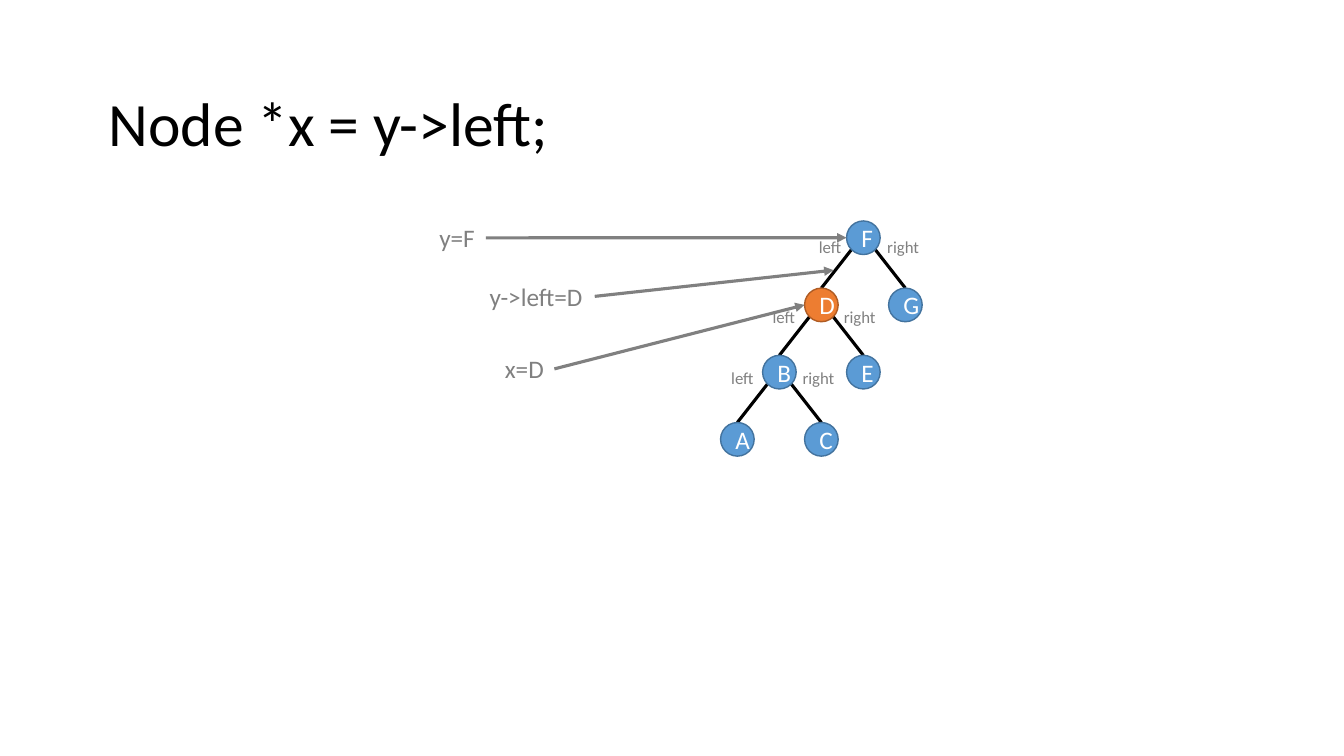
from math import sqrt

from pptx import Presentation
from pptx.dml.color import RGBColor
from pptx.enum.shapes import MSO_CONNECTOR, MSO_SHAPE
from pptx.enum.text import MSO_ANCHOR, MSO_AUTO_SIZE, PP_ALIGN
from pptx.oxml.ns import qn
from pptx.util import Pt
from lxml import etree

STRAIGHT = MSO_CONNECTOR.STRAIGHT
OVAL = MSO_SHAPE.OVAL
MIDDLE = MSO_ANCHOR.MIDDLE
FIT_SHAPE = MSO_AUTO_SIZE.SHAPE_TO_FIT_TEXT
LEFT, CENTER = PP_ALIGN.LEFT, PP_ALIGN.CENTER
BLACK, GRAY, WHITE = "000000", "808080", "FFFFFF"


def write(shape, text, size, color, align=LEFT):
    para = shape.text_frame.paragraphs[0]
    para.alignment = align
    span = para.add_run()
    span.text = text
    span.font.name = "Calibri"
    span.font.size = Pt(size)
    span.font.color.rgb = RGBColor.from_string(color)
    return para


def draw_line(start, end, color):
    line = page.shapes.add_connector(STRAIGHT, *map(Pt, start + end))
    line.line.color.rgb = RGBColor.from_string(color)
    line.line.width = Pt(2.25)
    etree.SubElement(line._element.spPr, qn("a:effectLst"))
    return line


deck = Presentation()
deck.slide_width, deck.slide_height = Pt(960), Pt(540)
page = deck.slides.add_slide(deck.slide_layouts[6])

# Title
title = page.shapes.add_textbox(Pt(60.5), Pt(38.2), Pt(828), Pt(104.4))
title.text_frame.word_wrap = True
title.text_frame.vertical_anchor = MIDDLE
write(title, " Node *x = y->left;", 44, BLACK).line_spacing = 0.9

# Tree grid: column and row of each node, centers on even steps
DIAMETER, STEP_X, STEP_Y = 24, 30, 48
ROOT_X, ROOT_Y = 616.7, 169.8
places = {"F": (0, 0), "D": (-1, 1), "G": (1, 1), "B": (-2, 2),
          "E": (0, 2), "A": (-3, 3), "C": (-1, 3)}
centers = {name: (ROOT_X + column * STEP_X, ROOT_Y + row * STEP_Y)
           for name, (column, row) in places.items()}
children = {"F": "DG", "D": "BE", "B": "AC"}

# Edges run from the parent's lower diagonal to the top of the child
radius = DIAMETER / 2
diagonal = radius / sqrt(2)
for parent, pair in children.items():
    x, y = centers[parent]
    for child, side in zip(pair, (-1, 1)):
        child_x, child_y = centers[child]
        draw_line((x + side * diagonal, y + diagonal),
                  (child_x, child_y - radius), BLACK)

# Nodes
for name, (x, y) in centers.items():
    fill, outline = ("ED7D31", "AF5C24") if name == "D" else ("5B9BD5", "43739E")
    node = page.shapes.add_shape(OVAL, Pt(x - radius), Pt(y - radius),
                                 Pt(DIAMETER), Pt(DIAMETER))
    node.shadow.inherit = False
    node.fill.solid()
    node.fill.fore_color.rgb = RGBColor.from_string(fill)
    node.line.color.rgb = RGBColor.from_string(outline)
    node.line.width = Pt(1)
    node.text_frame.vertical_anchor = MIDDLE
    write(node, name, 18, WHITE, CENTER)

# Labels: text, left, top, width, height, size, alignment
labels = [("y=F", 306.7, 155.5, 40.3, 29.1, 18, LEFT),
          ("y->left=D", 342.7, 197.5, 82.1, 29.1, 18, LEFT),
          ("x=D", 353.5, 249.1, 42.5, 29.1, 18, LEFT)]
for left_x, right_x, top in [(577.4, 626.4, 165.6), (544.3, 595.4, 215.3),
                             (514.8, 565.9, 259.2)]:
    labels.append(("left", left_x, top, 31, 21.8, 12, CENTER))
    labels.append(("right", right_x, top, 37.4, 21.8, 12, CENTER))
for text, left, top, width, height, size, align in labels:
    box = page.shapes.add_textbox(Pt(left), Pt(top), Pt(width), Pt(height))
    box.text_frame.word_wrap = False
    box.text_frame.auto_size = FIT_SHAPE
    write(box, text, size, GRAY, align)

# Pointer arrows
for start, end in [((347, 169.9), (604.7, 169.8)),
                   ((424.8, 211.7), (595.4, 193)),
                   ((396, 263.5), (574.7, 217.8))]:
    arrow = draw_line(start, end, GRAY)
    etree.SubElement(arrow.line._get_or_add_ln(), qn("a:tailEnd"), type="triangle")

deck.save("out.pptx")
